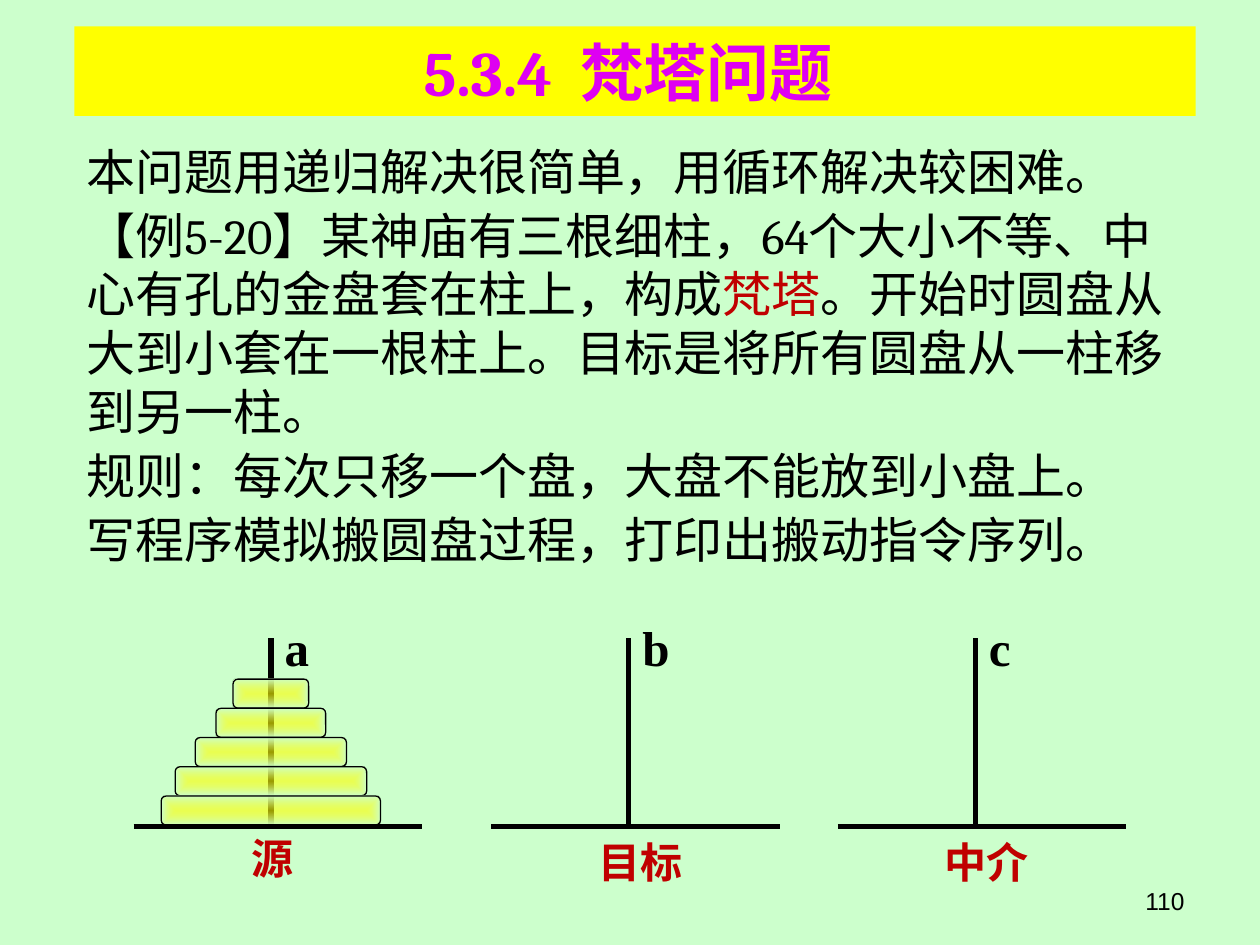
import lxml.etree
import pptx
import pptx.dml.color
import pptx.enum.shapes
import pptx.enum.text
import pptx.oxml.ns
import pptx.util
from dataclasses import dataclass

Inches = pptx.util.Inches
Pt = pptx.util.Pt
qn = pptx.oxml.ns.qn
RGB = pptx.dml.color.RGBColor.from_string
ALIGN = pptx.enum.text.PP_ALIGN
ANCHOR = pptx.enum.text.MSO_ANCHOR
SHAPE = pptx.enum.shapes.MSO_SHAPE


@dataclass(frozen=True)
class Theme:
    mint: str = "CCFFCC"
    yellow: str = "FFFF00"
    magenta: str = "DE00F2"
    red: str = "C00000"
    black: str = "000000"
    heading: str = "Cambria"
    label: str = "Times New Roman"
    number: str = "Arial"
    title_size: int = 36
    body_size: int = 28
    caption_size: int = 24
    number_size: int = 14
    peg_width: float = 3
    disc_line: float = 0.75


class Deck:
    def __init__(self, theme):
        self.theme = theme
        self.prs = pptx.Presentation()
        self.prs.slide_width = Inches(10)
        self.prs.slide_height = Inches(7.5)
        self.s = self.prs.slides.add_slide(self.prs.slide_layouts[6])
        self.solid(self.s.background.fill, theme.mint)

    def solid(self, fill, color):
        fill.solid()
        fill.fore_color.rgb = RGB(color)

    def text(self, box, paragraphs, fmt, color, align=ALIGN.LEFT,
             anchor=ANCHOR.TOP, space=0, wrap=True, fill=None):
        sp = self.s.shapes.add_textbox(*map(Inches, box))
        if fill:
            self.solid(sp.fill, fill)
        tf = sp.text_frame
        tf.word_wrap = wrap
        tf.vertical_anchor = anchor
        for i, runs in enumerate(paragraphs):
            p = tf.add_paragraph() if i else tf.paragraphs[0]
            p.alignment = align
            p.space_before = Pt(space if i else 0)
            for words, run_color in runs:
                r = p.add_run()
                r.text = words
                for name, value in fmt.items():
                    setattr(r.font, name, value)
                r.font.color.rgb = RGB(run_color or color)
        return sp

    def line(self, shapes, x1, y1, x2, y2):
        sp = shapes.add_connector(pptx.enum.shapes.MSO_CONNECTOR.STRAIGHT,
                                  *map(Inches, (x1, y1, x2, y2)))
        sp.line.color.rgb = RGB(self.theme.black)
        sp.line.width = Pt(self.theme.peg_width)
        lxml.etree.SubElement(sp._element.spPr, qn("a:effectLst"))

    def disc(self, shapes, x, y, w, h):
        sp = shapes.add_shape(SHAPE.ROUNDED_RECTANGLE, *map(Inches, (x, y, w, h)))
        sp.shadow.inherit = False
        sp.line.color.rgb = RGB(self.theme.black)
        sp.line.width = Pt(self.theme.disc_line)
        sp.fill.gradient()
        stops = zip(sp.fill.gradient_stops, (self.theme.yellow, self.theme.mint), (0, 1))
        for stop, color, position in stops:
            stop.color.rgb = RGB(color)
            stop.position = position
        grad = sp._element.spPr.find(qn("a:gradFill"))
        first = grad.find(".//" + qn("a:srgbClr"))
        lxml.etree.SubElement(first, qn("a:alpha")).set("val", "60000")
        grad.remove(grad.find(qn("a:lin")))
        shade = lxml.etree.SubElement(grad, qn("a:path"))
        shade.set("path", "shape")
        center = lxml.etree.SubElement(shade, qn("a:fillToRect"))
        for side in "ltrb":
            center.set(side, "50000")

    def peg(self, x, top, base, disc_top, disc_widths):
        shapes = self.s.shapes.add_group_shape().shapes
        self.line(shapes, x, base, x, top)
        height = 0.23
        for i, w in enumerate(disc_widths):
            y = disc_top + i * (base - 0.01 - disc_top) / len(disc_widths)
            self.disc(shapes, x - w / 2, y, w, height)
        self.line(shapes, x - 1.09, base, x + 1.2, base)


def main():
    theme = Theme()
    deck = Deck(theme)

    def font(name, size, bold=False):
        return {"name": name, "size": Pt(size), "bold": bold}

    number = font(theme.number, theme.number_size)
    title = font(theme.heading, theme.title_size, True)
    body = font(theme.heading, theme.body_size)
    letter = font(theme.label, theme.body_size, True)
    caption = font(theme.label, theme.caption_size, True)

    deck.text((7.17, 6.98, 2.33, 0.37), [[("110", None)]], number,
              theme.black, ALIGN.RIGHT)
    deck.text((0.59, 0.21, 8.9, 0.71), [[("5.3.4  梵塔问题 ", None)]], title,
              theme.magenta, ALIGN.CENTER, ANCHOR.MIDDLE, fill=theme.yellow)
    deck.text((0.59, 1.07, 8.82, 3.78), [
        [("本问题用递归解决很简单，用循环解决较困难。", None)],
        [("【例5-20】某神庙有三根细柱，64个大小不等、中心有孔的金盘套在柱上，构成", None),
         ("梵塔", theme.red),
         ("。开始时圆盘从大到小套在一根柱上。目标是将所有圆盘从一柱移到另一柱。", None)],
        [("规则：每次只移一个盘，大盘不能放到小盘上。", None)],
        [("写程序模拟搬圆盘过程，打印出搬动指令序列。", None)],
    ], body, theme.black, space=3)

    pegs = [
        (2.15, "a", "源", (1.69, 6.56, 0.94), (0.6, 0.87, 1.2, 1.52, 1.74)),
        (4.99, "b", "目标", (4.61, 6.59, 0.94), ()),
        (7.74, "c", "中介", (7.28, 6.59, 1.1), ()),
    ]
    for x, name, role, place, discs in pegs:
        deck.peg(x, 5.06, 6.56, 5.39, discs)
        deck.text((*place, 0.5), [[(role, None)]], caption, theme.red, ALIGN.CENTER)
        deck.text((x + 0.01, 4.85, 0.39, 0.57), [[(name, None)]], letter,
                  theme.black, wrap=False)

    deck.prs.save("out.pptx")


if __name__ == "__main__":
    main()
